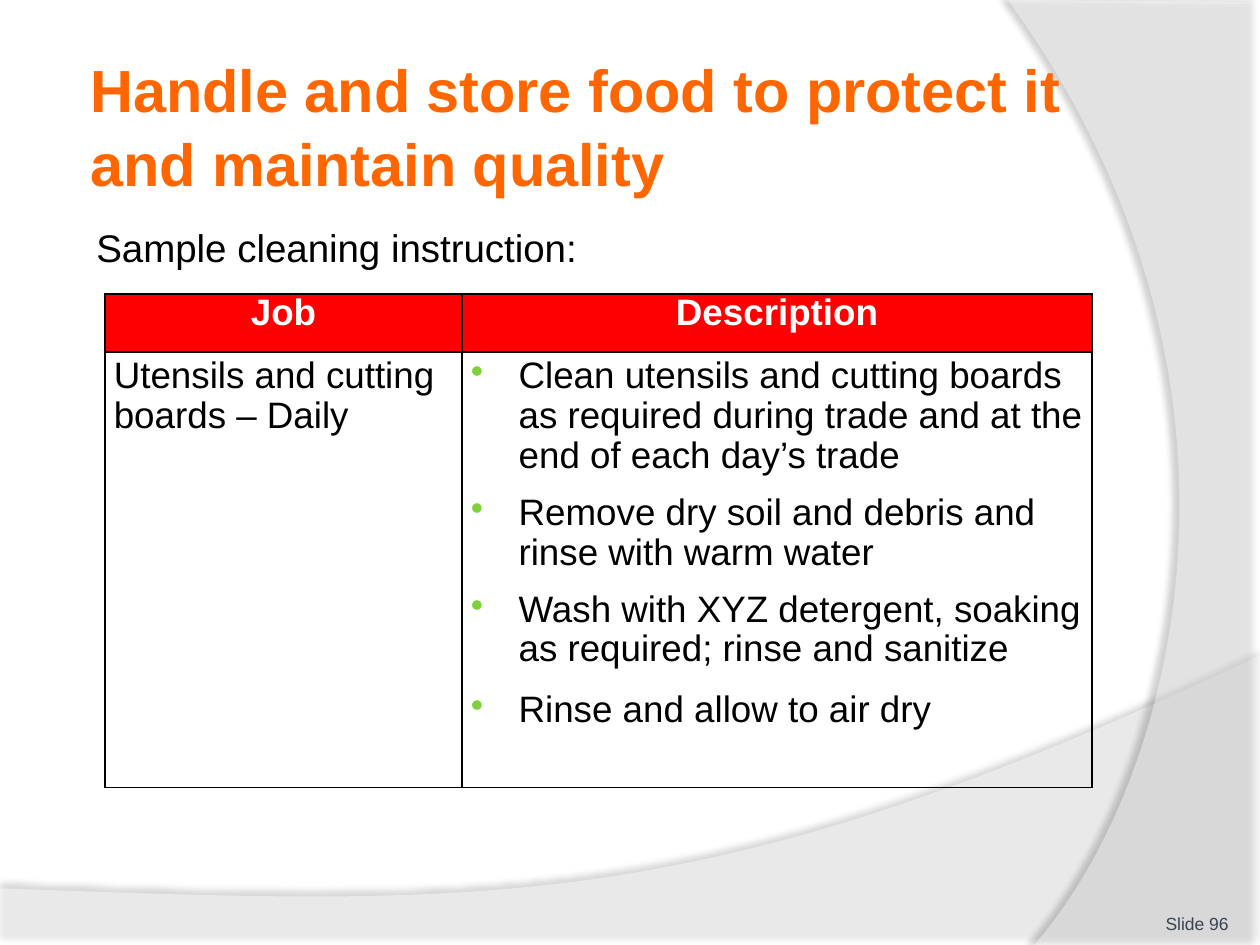
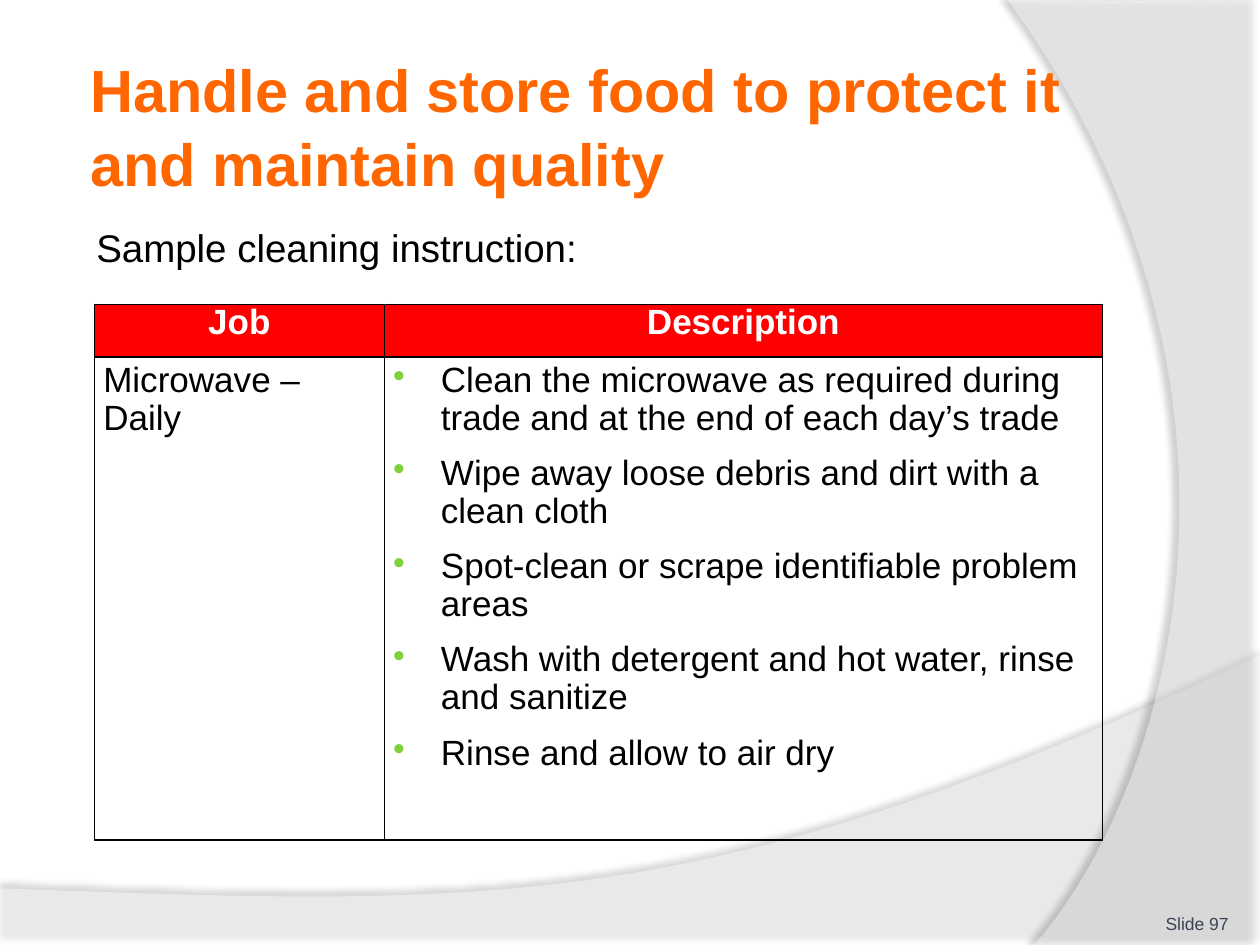
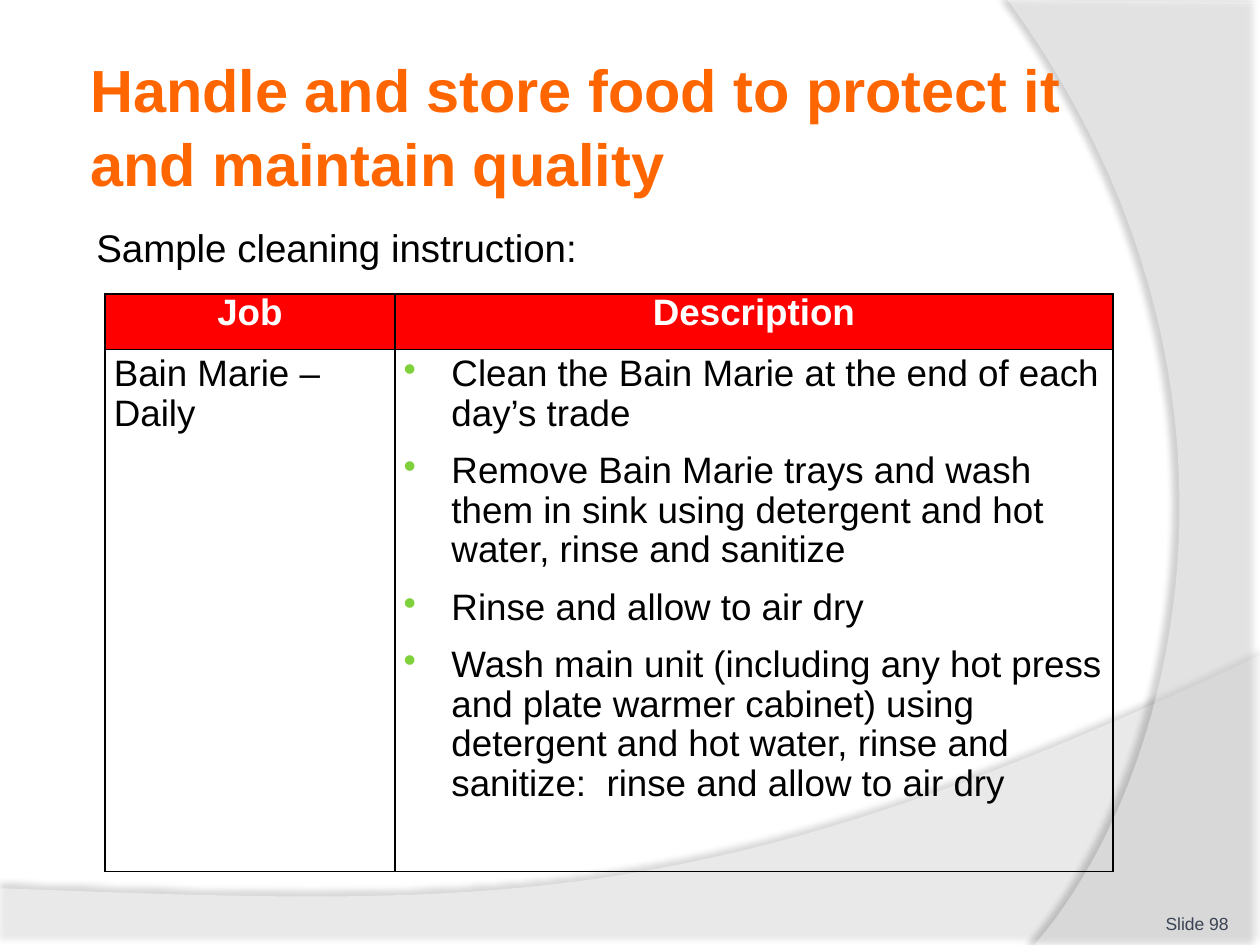
from dataclasses import dataclass

from lxml import etree
from pptx import Presentation
from pptx import util as u
from pptx.dml.color import RGBColor
from pptx.enum import text
from pptx.oxml import ns


@dataclass(frozen=True)
class Theme:
    font: str = "Arial"
    title: str = "FF6600"
    ink: str = "000000"
    footer: str = "3A4352"
    paper: str = "FFFFFF"
    header: str = "FF0000"
    bullet: str = "7FD13B"
    title_size: int = 34
    lead_size: int = 22
    footer_size: int = 10


COLUMNS, ROWS = 120, 90  # grid squares of a twelfth of an inch
TITLE = "Handle and store food to protect it and maintain quality"
LEAD = "Sample cleaning instruction:"
FIRST_NUMBER = 96


def add_xml(parent, tag, **attributes):
    values = {name: str(value) for name, value in attributes.items()}
    return etree.SubElement(parent, ns.qn(tag), values)


def curve(start, pull_start, pull_end, end, steps=40):
    """Points along a cubic curve, without its start."""
    points = []
    for step in range(1, steps + 1):
        t = step / steps
        weights = ((1 - t) ** 3, 3 * t * (1 - t) ** 2, 3 * t * t * (1 - t), t ** 3)
        corners = (start, pull_start, pull_end, end)
        points.append(tuple(sum(w * c[axis] for w, c in zip(weights, corners))
                            for axis in (0, 1)))
    return points


class Builder:
    def __init__(self, theme):
        self.theme = theme
        self.deck = Presentation()
        self.deck.slide_width, self.deck.slide_height = u.Inches(10), u.Inches(7.5)
        self.page = None

    def x(self, columns):
        return round(self.deck.slide_width * columns / COLUMNS)

    def y(self, rows):
        return round(self.deck.slide_height * rows / ROWS)

    def area(self, left, top, width, height):
        return self.x(left), self.y(top), self.x(width), self.y(height)

    def style(self, para, size, color, bold=False, align=None, before=0, after=0, line=1.0):
        para.alignment = align
        para.space_before, para.space_after = u.Pt(before), u.Pt(after)
        para.line_spacing = line
        font = para.font
        font.name, font.size, font.bold = self.theme.font, u.Pt(size), bold
        font.color.rgb = RGBColor.from_string(color)

    def label(self, words, area, size, color, insets, anchor=text.MSO_ANCHOR.TOP, **style):
        frame = self.page.shapes.add_textbox(*self.area(*area)).text_frame
        frame.word_wrap, frame.vertical_anchor = True, anchor
        side, edge = insets
        frame.margin_left = frame.margin_right = u.Inches(side)
        frame.margin_top = frame.margin_bottom = u.Inches(edge)
        frame.text = words
        self.style(frame.paragraphs[0], size, color, **style)

    def band(self, points, opacity, shadow_opacity, distance, angle):
        """A see-through outline with a soft shadow."""
        places = [(self.x(across), self.y(down)) for across, down in points]
        outline = self.page.shapes.build_freeform(*places[0], scale=1.0)
        outline.add_line_segments(places[1:], close=True)
        shape = outline.convert_to_shape()
        shape.fill.solid()
        shape.fill.fore_color.rgb = RGBColor.from_string(self.theme.paper)
        shape.line.fill.background()
        shape.shadow.inherit = False
        properties = shape._element.spPr
        fill_color = properties.find(ns.qn("a:solidFill"))[0]
        add_xml(fill_color, "a:alpha", val=opacity * 1000)
        shadow = add_xml(properties.find(ns.qn("a:effectLst")), "a:outerShdw",
                         blurRad=u.Pt(4), dist=u.Pt(distance), dir=angle * 60000,
                         algn="ctr", rotWithShape=0)
        shadow_color = add_xml(shadow, "a:srgbClr", val=self.theme.ink)
        add_xml(shadow_color, "a:alpha", val=shadow_opacity * 1000)

    def new_page(self, number):
        theme = self.theme
        self.page = self.deck.slides.add_slide(self.deck.slide_layouts[6])
        # Background bands
        sweep = curve((120, 62.4), (67.1, 87.5), (46.9, 86.3), (0, 84.6))
        self.band([(0, 84.6), (0, 90.1), (120, 90.1), (120, 62.4)] + sweep, 45, 35, 3.5, 270)
        arc = curve((98.5, 90), (112.2, 74.3), (122.2, 36), (96, 0))
        self.band([(120, 0.2), (120, 90), (98.5, 90)] + arc, 40, 45, 4, 180)
        # Title, lead-in and slide number
        self.label(TITLE, (8, 4.3, 98, 15), theme.title_size, theme.title, (0.05, 0.05),
                   text.MSO_ANCHOR.MIDDLE, bold=True, line=1.05)
        self.label(LEAD, (8, 20.4, 98, 59.4), theme.lead_size, theme.ink, (0.1, 0.08), after=12)
        self.label(f"Slide {number}", (107, 84.2, 10, 4.8), theme.footer_size, theme.footer,
                   (0, 0), text.MSO_ANCHOR.BOTTOM, align=text.PP_ALIGN.RIGHT)

    def border(self, cell):
        properties = cell._tc.get_or_add_tcPr()
        for index, side in enumerate(("lnL", "lnR", "lnT", "lnB")):
            line = add_xml(properties, f"a:{side}", w=u.Pt(1))
            add_xml(add_xml(line, "a:solidFill"), "a:srgbClr", val=self.theme.ink)
            properties.insert(index, line)

    def bullet(self, para):
        indent = u.Inches(0.38)
        properties = para._p.get_or_add_pPr()
        properties.set("marL", str(indent))
        properties.set("indent", str(-indent))
        add_xml(add_xml(properties, "a:buClr"), "a:srgbClr", val=self.theme.bullet)
        add_xml(properties, "a:buChar", char="•")

    def fill_cell(self, cell, lines, size, header=False, bullets=False, gaps=()):
        theme = self.theme
        cell.margin_left = cell.margin_right = u.Inches(0.07)
        cell.margin_top = cell.margin_bottom = u.Inches(0 if header else 0.04)
        if header:
            cell.fill.solid()
            cell.fill.fore_color.rgb = RGBColor.from_string(theme.header)
        else:
            cell.fill.background()
        self.border(cell)
        cell.text = "\n".join(lines)
        for index, para in enumerate(cell.text_frame.paragraphs):
            if bullets:
                self.bullet(para)
            self.style(para, size, theme.paper if header else theme.ink, bold=header,
                       align=text.PP_ALIGN.CENTER if header else None,
                       before=4 if index else 0,
                       after=gaps[index] if gaps else 8, line=0.97)

    def job_table(self, corner, widths, heights, size, job, steps, gaps):
        area = (*corner, sum(widths), sum(heights))
        table = self.page.shapes.add_table(2, 2, *self.area(*area)).table
        table.first_row = table.horz_banding = False
        for column, width in zip(table.columns, widths):
            column.width = self.x(width)
        for row, height in zip(table.rows, heights):
            row.height = self.y(height)
        for index, heading in enumerate(("Job", "Description")):
            self.fill_cell(table.cell(0, index), [heading], size, header=True)
        self.fill_cell(table.cell(1, 0), [job], size)
        self.fill_cell(table.cell(1, 1), steps, size, bullets=True, gaps=gaps)


JOBS = [
    dict(corner=(10, 28), widths=(34, 60), heights=(5.5, 41.5), size=21,
         job="Utensils and cutting boards – Daily", gaps=(6, 6, 8, 8),
         steps=["Clean utensils and cutting boards as required during trade and at "
                "the end of each day’s trade",
                "Remove dry soil and debris and rinse with warm water",
                "Wash with XYZ detergent, soaking as required; rinse and sanitize",
                "Rinse and allow to air dry"]),
    dict(corner=(9, 29), widths=(27.6, 68.4), heights=(5, 46), size=20,
         job="Microwave – Daily", gaps=(6,) * 5,
         steps=["Clean the microwave as required during trade and at the end of "
                "each day’s trade",
                "Wipe away loose debris and dirt with a clean cloth",
                "Spot-clean or scrape identifiable problem areas",
                "Wash with detergent and hot water, rinse and sanitize",
                "Rinse and allow to air dry"]),
    dict(corner=(10, 28), widths=(27.6, 68.4), heights=(5.3, 49.7), size=21,
         job="Bain Marie – Daily", gaps=(6,) * 4,
         steps=["Clean the Bain Marie at the end of each day’s trade",
                "Remove Bain Marie trays and wash them in sink using detergent and "
                "hot water, rinse and sanitize",
                "Rinse and allow to air dry",
                "Wash main unit (including any hot press and plate warmer cabinet) "
                "using detergent and hot water, rinse and sanitize:  rinse and allow "
                "to air dry"]),
]


def main():
    builder = Builder(Theme())
    for number, job in enumerate(JOBS, FIRST_NUMBER):
        builder.new_page(number)
        builder.job_table(**job)
    builder.deck.save("out.pptx")


if __name__ == "__main__":
    main()
